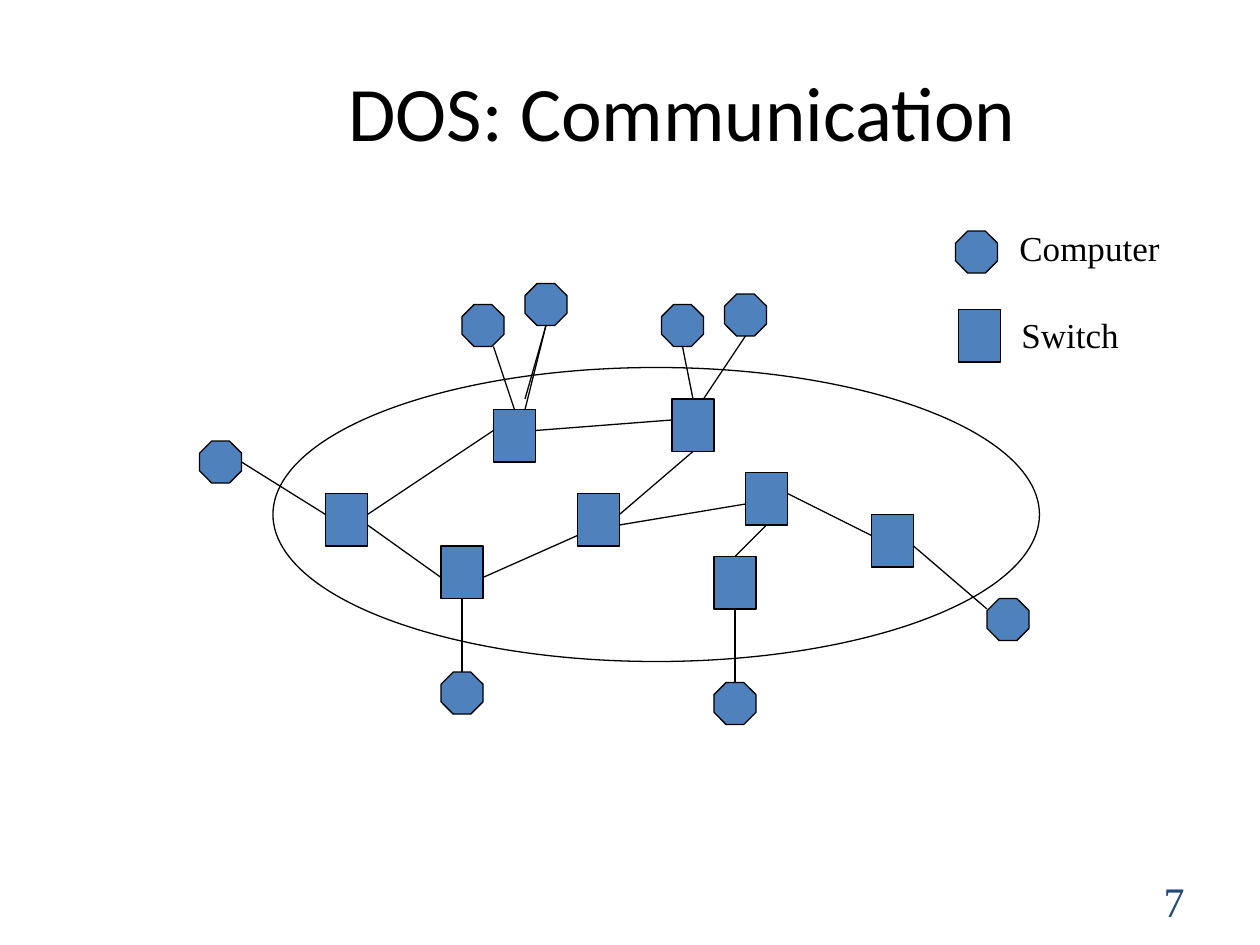
from pptx import Presentation
from pptx.dml.color import RGBColor
from pptx.enum.shapes import MSO_CONNECTOR, MSO_SHAPE
from pptx.enum.text import MSO_ANCHOR, PP_ALIGN
from pptx.oxml import parse_xml
from pptx.oxml.ns import nsdecls
from pptx.util import Cm, Pt

BLACK = RGBColor(0x00, 0x00, 0x00)
BLUE = RGBColor(0x4F, 0x81, 0xBD)
NAVY = RGBColor(0x1F, 0x49, 0x7D)
OCTAGON, RECTANGLE, OVAL = MSO_SHAPE.OCTAGON, MSO_SHAPE.RECTANGLE, MSO_SHAPE.OVAL
STRAIGHT = MSO_CONNECTOR.STRAIGHT
LEFT, CENTER, RIGHT = PP_ALIGN.LEFT, PP_ALIGN.CENTER, PP_ALIGN.RIGHT
MIDDLE = MSO_ANCHOR.MIDDLE
SERIF, SANS = "Times New Roman", "Calibri"
GRID_CM = 2.54 / 12

SWITCHES = [(31, 47), (42, 52), (47, 39), (55, 47),
            (68, 53), (64, 38), (71, 45), (83, 49)]
COMPUTERS = [(44, 29), (50, 27), (63, 29), (69, 28),
             (19, 42), (94, 57), (42, 64), (68, 65)]
SWITCH_LINKS = [(35, 49, 47, 41), (35, 50, 42, 55), (51, 41, 64, 40),
                (46, 55, 55, 51), (59, 50, 71, 48), (70, 53, 73, 50),
                (75, 47, 83, 51), (59, 49, 66, 43)]
COMPUTER_LINKS = [(23, 44, 31, 49), (47, 33, 49, 39), (65, 33, 66, 38),
                  (71, 32, 67, 38), (87, 52, 94, 58), (70, 58, 70, 65),
                  (44, 57, 44, 64), (52, 31, 50, 39), (52, 31, 50, 38)]


def grid(*steps):
    return [Cm(step * GRID_CM) for step in steps]


def apply(target, formats):
    for name, value in formats.items():
        setattr(target, name, value)


class NetworkSlide:
    line_width = Pt(0.75)

    def __init__(self, slide):
        self.shapes = slide.shapes

    def outline(self, element):
        element.line.color.rgb = BLACK
        element.line.width = self.line_width

    def node(self, kind, left, top, width, height, fill=BLUE):
        node = self.shapes.add_shape(kind, *grid(left, top, width, height))
        node.shadow.inherit = False
        if fill is None:
            node.fill.background()
        else:
            node.fill.solid()
            node.fill.fore_color.rgb = fill
        self.outline(node)
        return node

    def cloud(self, left, top, width, height):
        self.node(OVAL, left, top, width, height, fill=None)

    def switch(self, left, top):
        self.node(RECTANGLE, left, top, 4, 5)

    def computer(self, left, top):
        self.node(OCTAGON, left, top, 4, 4).adjustments[0] = 0.29

    def link(self, *ends):
        link = self.shapes.add_connector(STRAIGHT, *grid(*ends))
        self.outline(link)
        link._element.spPr.append(parse_xml(f"<a:effectLst {nsdecls('a')}/>"))

    def text(self, words, box, size, font=SERIF, color=BLACK, align=LEFT):
        frame = self.shapes.add_textbox(*grid(*box)).text_frame
        apply(frame, {"word_wrap": True, "vertical_anchor": MIDDLE})
        paragraph = frame.paragraphs[0]
        paragraph.alignment = align
        run = paragraph.add_run()
        run.text = words
        apply(run.font, {"name": font, "size": Pt(size)})
        run.font.color.rgb = color


def main():
    deck = Presentation()
    apply(deck, {"slide_width": Cm(25.4), "slide_height": Cm(19.05)})
    network = NetworkSlide(deck.slides.add_slide(deck.slide_layouts[6]))

    network.text("7", (86, 83.4, 28, 4.8), 24, color=NAVY, align=RIGHT)
    network.text("DOS: Communication", (14, 3, 102, 15), 44, font=SANS, align=CENTER)
    network.cloud(26, 35, 73, 28)
    for position in SWITCHES:
        network.switch(*position)
    for ends in SWITCH_LINKS:
        network.link(*ends)
    for position in COMPUTERS:
        network.computer(*position)
    for ends in COMPUTER_LINKS:
        network.link(*ends)

    network.computer(91, 22)
    network.switch(91.3, 29.5)
    network.text("Computer", (95.9, 21, 16.2, 5.2), 20)
    network.text("Switch", (96.1, 29.3, 12.1, 5.2), 20)
    deck.save("out.pptx")


if __name__ == "__main__":
    main()
